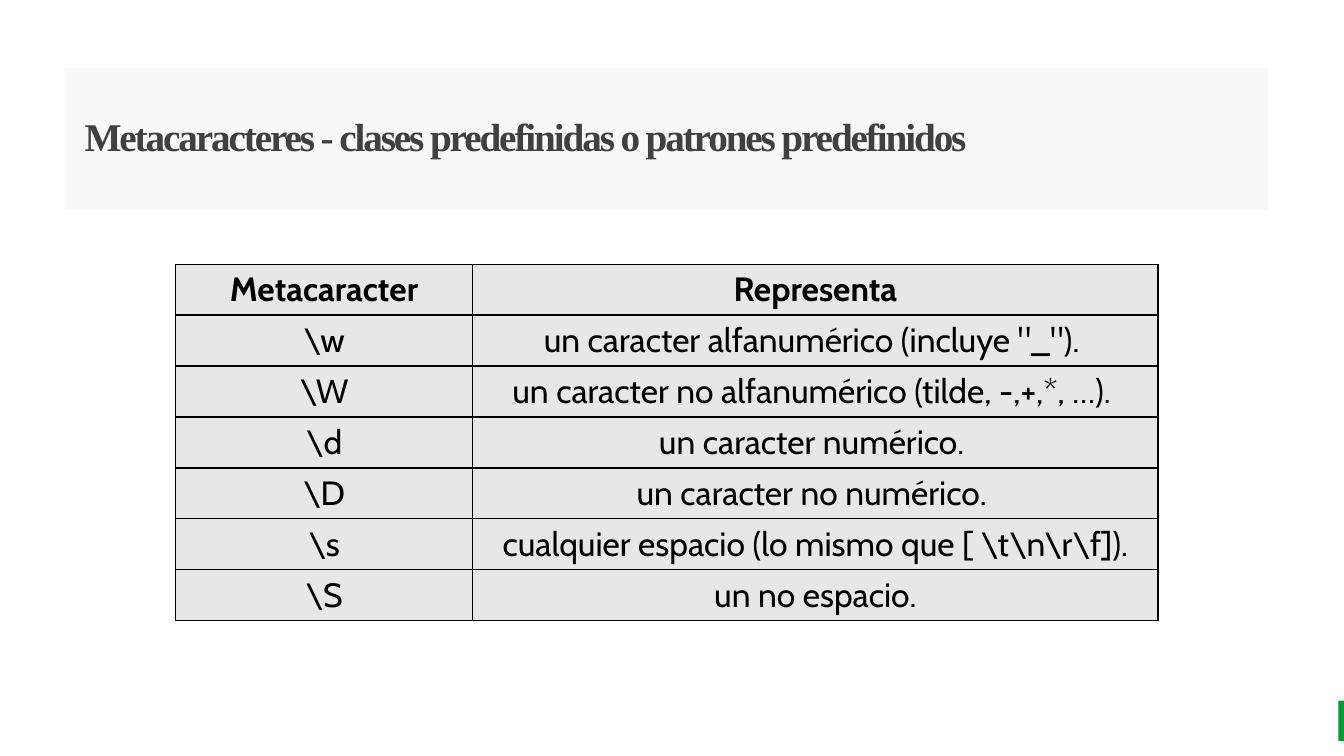
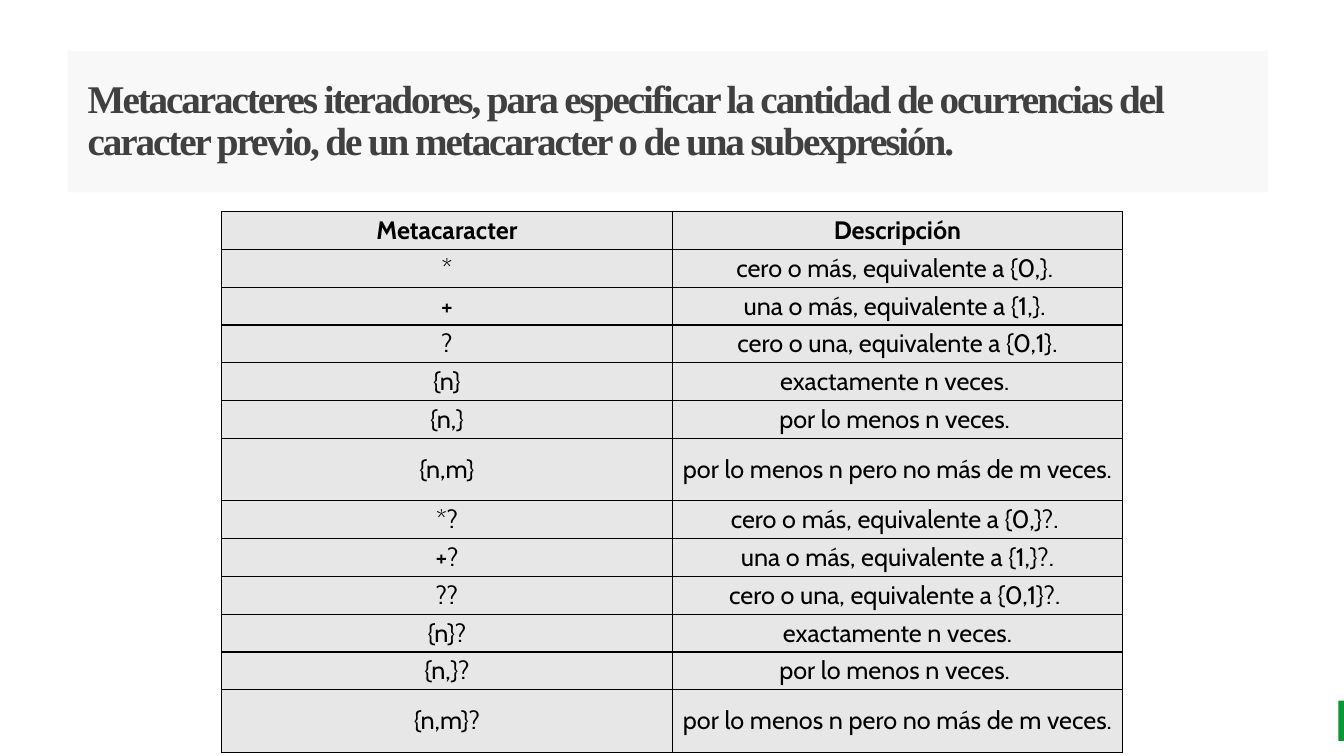
import dataclasses

import lxml.etree
import pptx
import pptx.dml.color
import pptx.enum.shapes
import pptx.enum.text
import pptx.oxml.ns
import pptx.util

PX = 4572  # EMU; 200 px to the inch


@dataclasses.dataclass(frozen=True)
class Theme:
    band: str = "F2F2F2"
    band_alpha: int = 50000
    title: str = "404040"
    accent: str = "029B2D"
    cell: str = "E7E7E7"
    ink: str = "000000"
    title_font: str = "Times New Roman"
    body_font: str = "Cabin"
    title_size: int = 28
    large: int = 24
    small: int = 18
    border: int = 1


THEME = Theme()

CLASSES = [
    ("Metacaracter", "Representa"),
    ("\\w", 'un caracter alfanumérico (incluye "_"). '),
    ("\\W", "un caracter no alfanumérico (tilde, -,+,*, …). "),
    ("\\d", "un caracter numérico. "),
    ("\\D", "un caracter no numérico. "),
    ("\\s", "cualquier espacio (lo mismo que [ \\t\\n\\r\\f])."),
    ("\\S", "un no espacio."),
]

ITERATORS = [
    ("Metacaracter", "Descripción"),
    ("*", "cero o más, equivalente a {0,}. "),
    ("+", "una o más, equivalente a {1,}. "),
    ("?", "cero o una, equivalente a {0,1}."),
    ("{n}", "exactamente n veces. "),
    ("{n,}", "por lo menos n veces. "),
    ("{n,m}", "por lo menos n pero no más de m veces."),
    ("*?", "cero o más, equivalente a {0,}?. "),
    ("+?", "una o más, equivalente a {1,}?."),
    ("??", "cero o una, equivalente a {0,1}?. "),
    ("{n}?", "exactamente n veces."),
    ("{n,}?", "por lo menos n veces. "),
    ("{n,m}?", "por lo menos n pero no más de m veces."),
]


def px(length):
    return pptx.util.Emu(length * PX)


def rgb(color):
    return pptx.dml.color.RGBColor.from_string(color)


def set_attributes(target, values):
    for name, value in values.items():
        setattr(target, name, value)


def add_xml(parent, tag, **attributes):
    return lxml.etree.SubElement(parent, pptx.oxml.ns.qn(tag), attributes)


def set_margins(target, left, top, right, bottom):
    set_attributes(target, {
        "margin_left": px(left), "margin_top": px(top),
        "margin_right": px(right), "margin_bottom": px(bottom),
    })


def set_font(font, face, size, color, bold):
    set_attributes(font, {"name": face, "size": pptx.util.Pt(size), "bold": bold})
    font.color.rgb = rgb(color)


def add_block(slide, box, color):
    block = slide.shapes.add_shape(
        pptx.enum.shapes.MSO_SHAPE.RECTANGLE, *map(px, box))
    block.shadow.inherit = False
    block.fill.solid()
    block.fill.fore_color.rgb = rgb(color)
    block.line.fill.background()
    return block


def add_title(slide, box, text):
    """Add the half-transparent band that carries the slide title."""
    band = add_block(slide, box, THEME.band)
    color = band.fill._xPr.find(".//" + pptx.oxml.ns.qn("a:srgbClr"))
    add_xml(color, "a:alpha", val=str(THEME.band_alpha))
    frame = band.text_frame
    set_attributes(frame, {
        "word_wrap": True,
        "vertical_anchor": pptx.enum.text.MSO_ANCHOR.MIDDLE,
    })
    set_margins(frame, 40, 0, 0, 0)
    paragraph = frame.paragraphs[0]
    set_attributes(paragraph, {
        "alignment": pptx.enum.text.PP_ALIGN.LEFT, "line_spacing": 0.9})
    run = paragraph.add_run()
    run.text = text
    set_font(run.font, THEME.title_font, THEME.title_size, THEME.title, True)
    run.font._element.set("spc", "-150")


def add_borders(cell):
    properties = cell._tc.get_or_add_tcPr()
    for side in ("a:lnL", "a:lnR", "a:lnT", "a:lnB"):
        line = add_xml(properties, side, w=str(pptx.util.Pt(THEME.border)))
        add_xml(add_xml(line, "a:solidFill"), "a:srgbClr", val=THEME.ink)


def fill_cell(cell, text, size, margins, bold):
    add_borders(cell)
    cell.fill.solid()
    cell.fill.fore_color.rgb = rgb(THEME.cell)
    cell.vertical_anchor = pptx.enum.text.MSO_ANCHOR.MIDDLE
    set_margins(cell, *margins)
    paragraph = cell.text_frame.paragraphs[0]
    paragraph.alignment = pptx.enum.text.PP_ALIGN.CENTER
    run = paragraph.add_run()
    run.text = text
    set_font(run.font, THEME.body_font, size, THEME.ink, bold)


def add_reference(slide, left, top, widths, heights, entries, size, margins):
    """Add a two-column table of metacharacters and their meanings."""
    table = slide.shapes.add_table(
        len(entries), len(widths), px(left), px(top),
        px(sum(widths)), px(sum(heights))).table
    set_attributes(table, {"first_row": False, "horz_banding": False})
    for column, width in zip(table.columns, widths):
        column.width = px(width)
    for index, (row, height, entry) in enumerate(
            zip(table.rows, heights, entries)):
        row.height = px(height)
        for cell, text in zip(row.cells, entry):
            fill_cell(cell, text, size, margins, bold=index == 0)


def add_slide(deck, title_box, title):
    slide = deck.slides.add_slide(deck.slide_layouts[6])
    add_block(slide, (2656, 1390, 11, 80), THEME.accent)
    add_title(slide, title_box, title)
    return slide


def main():
    deck = pptx.Presentation()
    set_attributes(deck, {"slide_width": px(2667), "slide_height": px(1500)})

    classes = add_slide(
        deck, (128, 136, 2388, 280),
        "Metacaracteres - clases predefinidas o patrones predefinidos")
    add_reference(classes, 348, 524, (590, 1360), [101] * len(CLASSES),
                  CLASSES, THEME.large, (20, 10, 20, 10))

    iterators = add_slide(
        deck, (134, 102, 2382, 280),
        "Metacaracteres iteradores, para especificar la cantidad de "
        "ocurrencias del caracter previo, de un metacaracter o de una "
        "subexpresión.")
    group_heights = [75] * 5 + [124]
    add_reference(iterators, 440, 420, (894, 894), [75] + group_heights * 2,
                  ITERATORS, THEME.small, (14, 7, 14, 7))

    deck.save("out.pptx")


if __name__ == "__main__":
    main()
